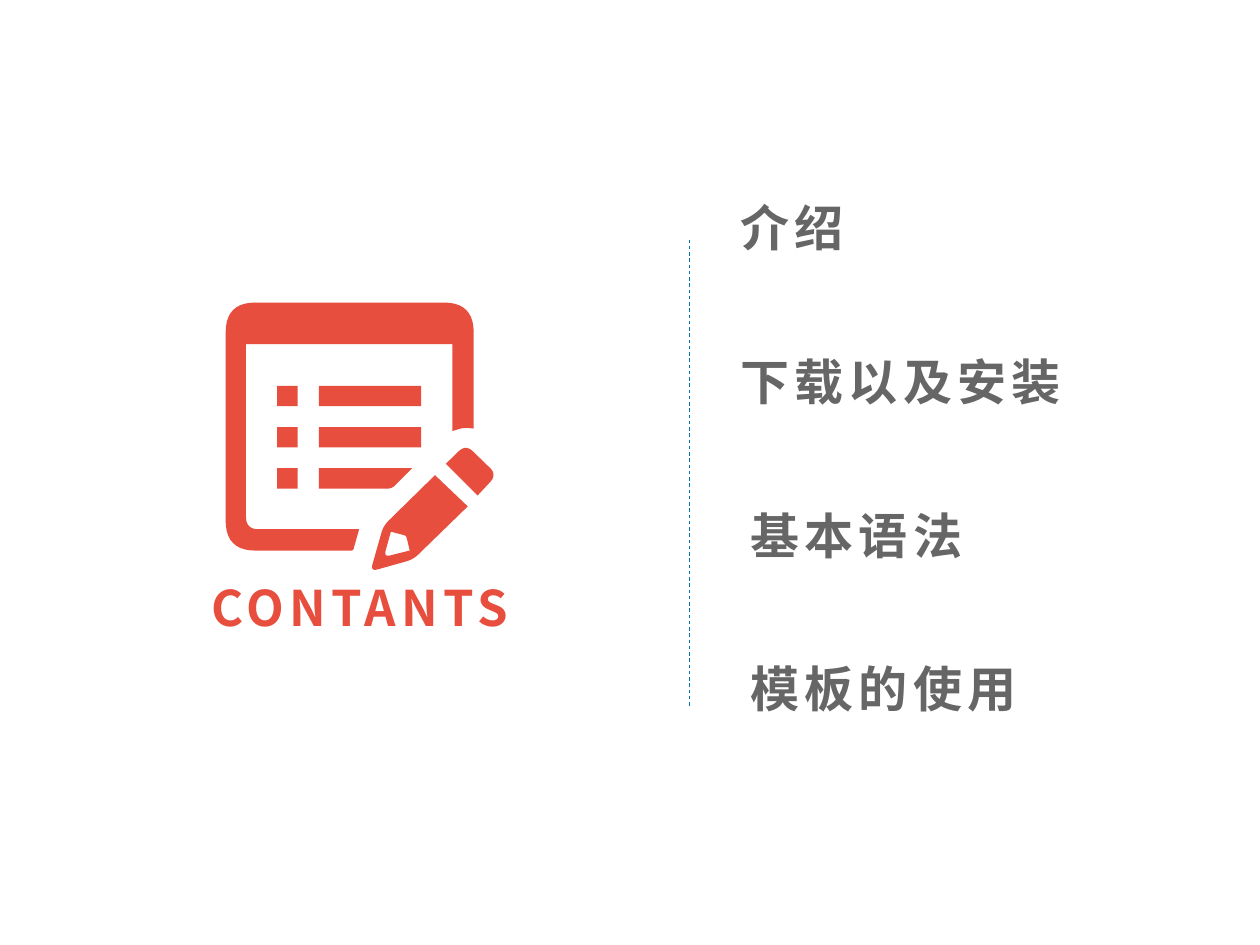
from dataclasses import dataclass
import math

import pptx
import pptx.dml.color
import pptx.enum.dml
import pptx.enum.shapes
import pptx.enum.text
import pptx.oxml
import pptx.oxml.ns
import pptx.util
from pptx.util import Cm


@dataclass(frozen=True)
class Theme:
    accent: str = "E74E3E"
    body: str = "666666"
    divider: str = "0174AB"
    font: str = "Noto Sans CJK SC"
    size: int = 28
    spacing: int = 3
    divider_width: float = 0.5


THEME = Theme()


def rgb(value):
    return pptx.dml.color.RGBColor.from_string(value)


def paint(shape, color):
    shape.fill.solid()
    shape.fill.fore_color.rgb = rgb(color)
    shape.line.fill.background()
    shape.shadow.inherit = False


def heading(slide, left, top, width, height, wording, color, align):
    box = slide.shapes.add_textbox(Cm(left), Cm(top), Cm(width), Cm(height))
    frame = box.text_frame
    frame.word_wrap = True
    frame.auto_size = pptx.enum.text.MSO_AUTO_SIZE.SHAPE_TO_FIT_TEXT
    paragraph = frame.paragraphs[0]
    paragraph.alignment = align
    run = paragraph.add_run()
    run.text = wording
    run.font.size = pptx.util.Pt(THEME.size)
    run.font.bold = True
    run.font.name = THEME.font
    run.font.color.rgb = rgb(color)
    properties = run.font._element
    properties.set("spc", str(THEME.spacing * 100))
    east_asian = pptx.oxml.parse_xml(
        f'<a:ea {pptx.oxml.ns.nsdecls("a")} typeface="{THEME.font}"/>')
    properties.find(pptx.oxml.ns.qn("a:latin")).addnext(east_asian)


def rounded(corners, steps=10):
    """Turn (x, y, radius) corners into points, with an arc at each radius."""
    points = []
    for i, (x, y, radius) in enumerate(corners):
        if not radius:
            points.append((x, y))
            continue
        ends = []
        for nx, ny, _ in (corners[i - 1], corners[(i + 1) % len(corners)]):
            share = radius / math.hypot(nx - x, ny - y)
            ends.append((x + (nx - x) * share, y + (ny - y) * share))
        (ax, ay), (bx, by) = ends
        for step in range(steps + 1):
            t = step / steps
            a, c, b = (1 - t) ** 2, 2 * t * (1 - t), t ** 2
            points.append((a * ax + c * x + b * bx, a * ay + c * y + b * by))
    return points


def outline(shapes, left, top, *contours):
    builder = None
    for corners in contours:
        first, *rest = [(Cm(left + x), Cm(top + y)) for x, y in rounded(corners)]
        if builder is None:
            builder = shapes.build_freeform(*first)
        else:
            builder.move_to(*first)
        builder.add_line_segments(rest, close=True)
    paint(builder.convert_to_shape(), THEME.accent)


def notepad_icon(slide, left, top):
    shapes = slide.shapes.add_group_shape().shapes

    page = [(2.69, 4.57, 0), (2.57, 5, 0.04), (0, 5, 0.6), (0, 0, 0.6),
            (5, 0, 0.6), (5, 2.54, 0), (4.8, 2.52, 0.1), (4.57, 2.59, 0),
            (4.57, 0.84, 0), (0.41, 0.84, 0), (0.41, 4.57, 0.25)]
    pencil = [(4.22, 3.48, 0), (4.88, 4.11, 0), (3.78, 5.18, 0.15),
              (2.92, 5.42, 0.15), (3.18, 4.5, 0.15)]
    pencil_tip = [(3.33, 4.62, 0), (3.19, 5.13, 0.13), (3.71, 5, 0),
                  (3.64, 4.7, 0.05)]
    eraser = [(4.44, 3.25, 0), (4.84, 2.86, 0.2), (5.47, 3.47, 0.2),
              (5.08, 3.89, 0)]
    outline(shapes, left, top, page)
    outline(shapes, left, top, pencil, pencil_tip)
    outline(shapes, left, top, eraser)

    bullet_x, bar_x, bar_width, thickness = 1.04, 1.88, 2.06, 0.41
    rows = [1.68 + 0.83 * i for i in range(3)]
    blocks = [(bullet_x, y, thickness) for y in rows]
    blocks += [(bar_x, y, bar_width) for y in rows[:2]]
    for x, y, width in blocks:
        block = shapes.add_shape(
            pptx.enum.shapes.MSO_SHAPE.RECTANGLE,
            Cm(left + x), Cm(top + y), Cm(width), Cm(thickness))
        paint(block, THEME.accent)
    last = rows[2]
    outline(shapes, left, top, [
        (bar_x, last, 0), (3.76, last, 0),
        (3.35, last + thickness, 0.08), (bar_x, last + thickness, 0)])


def title_panel(slide, left, top):
    notepad_icon(slide, left + 0.99, top)
    heading(slide, left, top + 5.41, 7.39, 1.45, "CONTANTS", THEME.accent,
            pptx.enum.text.PP_ALIGN.CENTER)


def divider(slide, x, top, height):
    line = slide.shapes.add_connector(
        pptx.enum.shapes.MSO_CONNECTOR.STRAIGHT,
        Cm(x), Cm(top), Cm(x), Cm(top + height))
    line.line.color.rgb = rgb(THEME.divider)
    line.line.width = pptx.util.Pt(THEME.divider_width)
    line.line.dash_style = pptx.enum.dml.MSO_LINE.DASH
    line._element.spPr.append(pptx.oxml.parse_xml(
        f'<a:effectLst {pptx.oxml.ns.nsdecls("a")}/>'))


def chapter_list(slide, left, top, pitch):
    chapters = [("介绍", 0, 7.87), ("下载以及安装", 0, 10.31),
                ("基本语法", 0.2, 9.91), ("模板的使用", 0.2, 7.21)]
    for i, (chapter, indent, width) in enumerate(chapters):
        heading(slide, left + indent, top + i * pitch, width, 1.45, chapter,
                THEME.body, pptx.enum.text.PP_ALIGN.LEFT)


def main():
    deck = pptx.Presentation()
    deck.slide_width, deck.slide_height = Cm(25.4), Cm(19.05)
    slide = deck.slides.add_slide(deck.slide_layouts[6])
    divider(slide, x=13.89, top=4.83, height=9.4)
    chapter_list(slide, left=14.68, top=3.86, pitch=3.1)
    title_panel(slide, left=3.56, top=6.1)
    deck.save("out.pptx")


if __name__ == "__main__":
    main()
